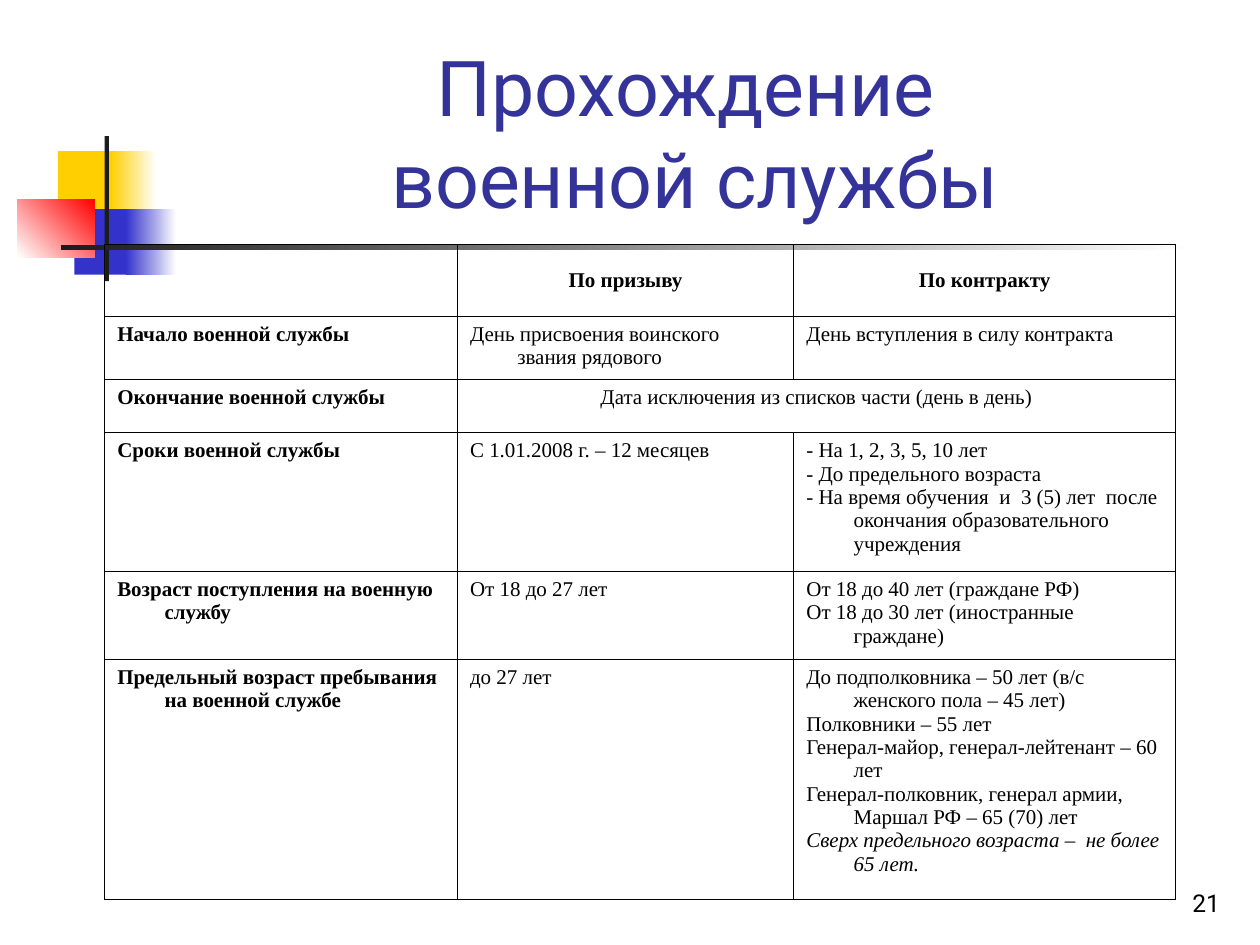
import pptx
import pptx.util
import pptx.dml.color
import pptx.enum.shapes
import pptx.enum.text
import pptx.oxml
import pptx.oxml.ns

Pt = pptx.util.Pt
ALIGN = pptx.enum.text.PP_ALIGN
ANCHOR = pptx.enum.text.MSO_ANCHOR

COLORS = {
    "yellow": "FFCF01", "blue": "3333CC", "red": "FF0000", "white": "FFFFFF",
    "dark": "1C1C1C", "title": "333399", "text": "000000",
}
TITLE = "Прохождение \vвоенной службы"
PAGE_NUMBER = "21"

# left, top, width, height, colours from start to end, gradient angle
ORNAMENT = [
    (33.1, 86.4, 34.6, 37.4, ["yellow"], 0),
    (63.4, 86.4, 25.9, 37.4, ["yellow", "white"], 0),
    (42.5, 119.5, 33.1, 37.4, ["blue"], 0),
    (72, 119.5, 28.8, 37.4, ["blue", "white"], 0),
    (10.1, 113.8, 43.9, 33.1, ["white", "red"], 45),
    (59.8, 77.8, 2.4, 82.8, ["dark"], 0),
    (34.6, 140.2, 648, 2.4, ["dark", "white"], 0),
]

HEADER = ["", "По призыву", "По контракту"]
SERVICE_ROWS = [
    ["Начало военной службы", "День присвоения воинского звания рядового",
     "День вступления в силу контракта"],
    ["Окончание военной службы",
     "Дата исключения из списков части (день в день)", ""],
    ["Сроки военной службы", "С 1.01.2008 г. – 12 месяцев",
     "- На 1, 2, 3, 5, 10 лет\n"
     "- До предельного возраста\n"
     "- На время обучения  и  3 (5) лет  после окончания образовательного учреждения"],
    ["Возраст поступления на военную службу", "От 18 до 27 лет",
     "От 18 до 40 лет (граждане РФ)\n"
     "От 18 до 30 лет (иностранные граждане)"],
    ["Предельный возраст пребывания на военной службе", "до 27 лет",
     "До подполковника – 50 лет (в/с женского пола – 45 лет)\n"
     "Полковники – 55 лет\n"
     "Генерал-майор, генерал-лейтенант – 60 лет\n"
     "Генерал-полковник, генерал армии, Маршал РФ – 65 (70) лет\n"
     "Сверх предельного возраста –  не более 65 лет."],
]
MERGED_ROW = 2
ITALIC_START = "Сверх"
TABLE_LEFT, TABLE_TOP = 59.8, 139.7
COLUMN_WIDTHS = [201.6, 192.2, 218.2]
ROW_HEIGHTS = [41, 36, 30.6, 79.2, 50.4, 137]
HANGING_INDENT = 27


def rgb(name):
    return pptx.dml.color.RGBColor.from_string(COLORS[name])


def write(frame, text, font="Times New Roman", size=12, color="text",
          bold=False, align=ALIGN.LEFT, hanging=0):
    """Fill a text frame, one paragraph for each line of text."""
    frame.text = text
    for paragraph in frame.paragraphs:
        paragraph.alignment = align
        if hanging:
            properties = paragraph._p.get_or_add_pPr()
            properties.set("marL", str(Pt(hanging)))
            properties.set("indent", str(-Pt(hanging)))
        for run in paragraph.runs:
            run.font.name = font
            run.font.size = Pt(size)
            run.font.bold = bold
            run.font.italic = run.text.startswith(ITALIC_START)
            run.font.color.rgb = rgb(color)


def add_bar(slide, left, top, width, height, colors, angle):
    bar = slide.shapes.add_shape(pptx.enum.shapes.MSO_SHAPE.RECTANGLE,
                                 Pt(left), Pt(top), Pt(width), Pt(height))
    bar.shadow.inherit = False
    bar.line.fill.background()
    if len(colors) == 1:
        bar.fill.solid()
        bar.fill.fore_color.rgb = rgb(colors[0])
        return
    bar.fill.gradient()
    bar.fill.gradient_angle = angle
    for position, (stop, color) in enumerate(zip(bar.fill.gradient_stops, colors)):
        stop.color.rgb = rgb(color)
        stop.position = position


def add_borders(cell):
    properties = cell._tc.get_or_add_tcPr()
    for index, side in enumerate(("lnL", "lnR", "lnT", "lnB")):
        properties.insert(index, pptx.oxml.parse_xml(
            f'<a:{side} {pptx.oxml.ns.nsdecls("a")} w="{Pt(0.45)}"><a:solidFill>'
            f'<a:srgbClr val="{COLORS["text"]}"/></a:solidFill></a:{side}>'))


def add_service_table(slide):
    rows = [HEADER] + SERVICE_ROWS
    table = slide.shapes.add_table(
        len(rows), len(HEADER), Pt(TABLE_LEFT), Pt(TABLE_TOP),
        Pt(sum(COLUMN_WIDTHS)), Pt(sum(ROW_HEIGHTS))).table
    table.first_row = table.horz_banding = False
    for column, width in zip(table.columns, COLUMN_WIDTHS):
        column.width = Pt(width)
    for row, height in zip(table.rows, ROW_HEIGHTS):
        row.height = Pt(height)
    for r, texts in enumerate(rows):
        for c, text in enumerate(texts):
            cell = table.cell(r, c)
            centred = r == 0 or (r == MERGED_ROW and c > 0)
            write(cell.text_frame, text, bold=r == 0 or c == 0,
                  align=ALIGN.CENTER if centred else ALIGN.LEFT,
                  hanging=HANGING_INDENT)
            cell.vertical_anchor = ANCHOR.MIDDLE if r == 0 else ANCHOR.TOP
            cell.fill.background()
            add_borders(cell)
    table.cell(MERGED_ROW, 1).merge(table.cell(MERGED_ROW, 2))


def main():
    deck = pptx.Presentation()
    deck.slide_width, deck.slide_height = Pt(720), Pt(540)
    slide = deck.slides.add_slide(deck.slide_layouts[5])

    for bar in ORNAMENT:
        add_bar(slide, *bar)

    title = slide.shapes.title
    title.left, title.top, title.width, title.height = Pt(90.7), Pt(16.6), Pt(613.4), Pt(115.2)
    title.text_frame.auto_size = pptx.enum.text.MSO_AUTO_SIZE.NONE
    title.text_frame.vertical_anchor = ANCHOR.BOTTOM
    write(title.text_frame, TITLE, font="Roboto", size=44, color="title",
          align=ALIGN.CENTER)

    number = slide.shapes.add_textbox(Pt(554.4), Pt(491.8), Pt(149.8), Pt(36)).text_frame
    number.word_wrap = True
    number.vertical_anchor = ANCHOR.BOTTOM
    write(number, PAGE_NUMBER, font="Roboto", size=14, align=ALIGN.RIGHT)

    add_service_table(slide)
    deck.save("out.pptx")


if __name__ == "__main__":
    main()
